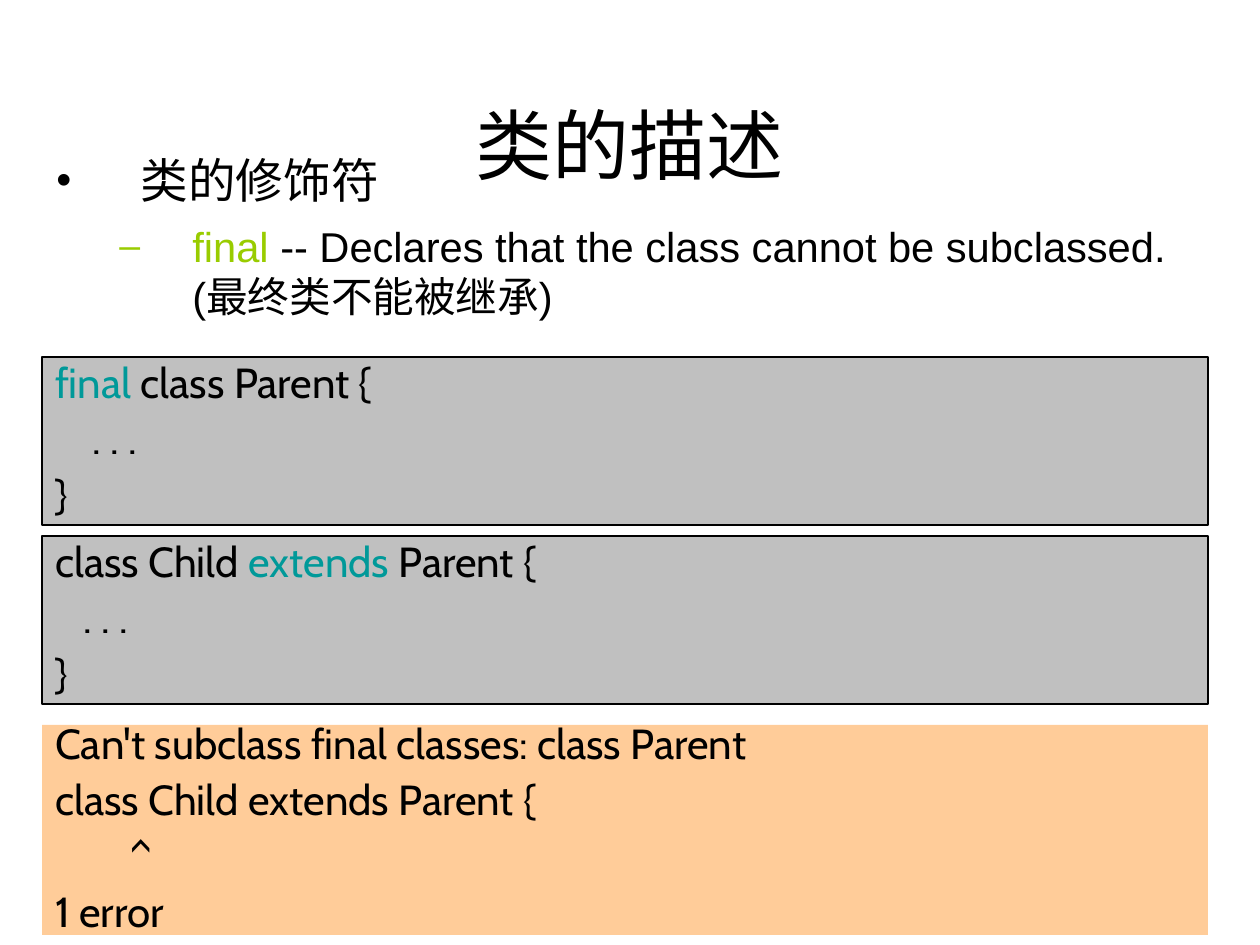
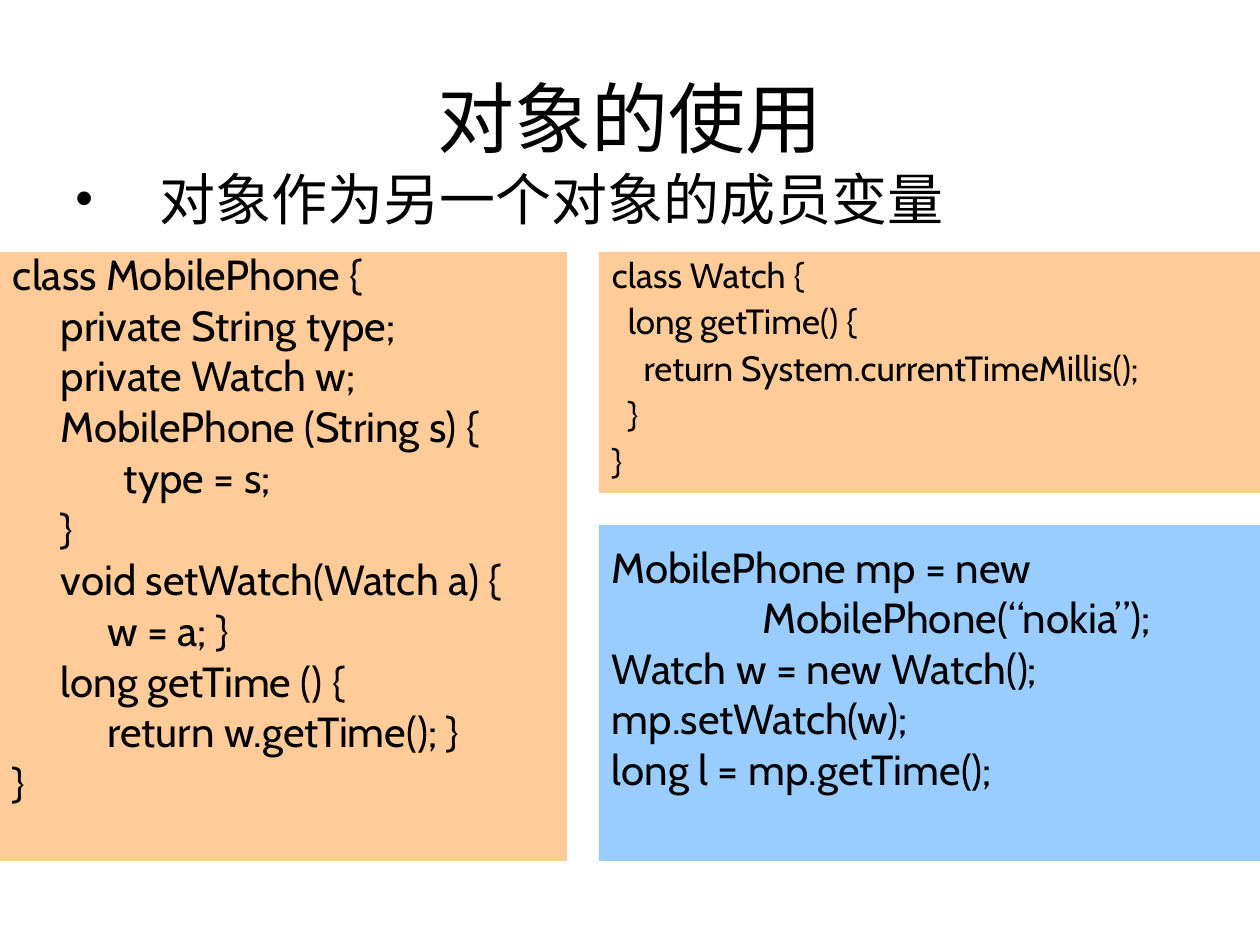
from lxml.etree import SubElement
from pptx import Presentation
from pptx.dml.color import RGBColor
from pptx.enum.shapes import MSO_SHAPE
from pptx.enum.text import MSO_ANCHOR, PP_ALIGN
from pptx.oxml.ns import qn
from pptx.util import Emu, Pt

INCH = 126  # px to the inch
SCALE = 914400 / INCH

BLACK = RGBColor(0x00, 0x00, 0x00)
LIME = RGBColor(0x99, 0xCC, 0x00)
TEAL = RGBColor(0x00, 0x99, 0x99)
GRAY = RGBColor(0xC0, 0xC0, 0xC0)
PEACH = RGBColor(0xFF, 0xCC, 0x99)
SKY = RGBColor(0x99, 0xCC, 0xFF)

TEXT_FONT = "Arial"
CODE_FONT = "Cabin"
TITLE_BOX = (63, 38, 1134, 158)


def px(length):
    return Emu(round(length * SCALE))


def place(box):
    return [px(length) for length in box]


def write(para, spans, font_name, size):
    """Fill a paragraph from a plain string or from (text, colour) pairs."""
    para.font.name = font_name
    para.font.size = Pt(size)
    if isinstance(spans, str):
        spans = [(spans, BLACK)]
    for text, colour in spans:
        span = para.add_run()
        span.text = text
        span.font.color.rgb = colour


def add_paragraphs(frame, count):
    """Yield count paragraphs of a frame, starting with its first."""
    for index in range(count):
        yield index, frame.add_paragraph() if index else frame.paragraphs[0]


def hang(para, indent, hanging):
    properties = para._p.get_or_add_pPr()
    properties.set("marL", str(px(indent)))
    properties.set("indent", str(-px(hanging)))
    return properties


def add_bullet(para, symbol, colour, indent, hanging):
    properties = hang(para, indent, hanging)
    bullet_colour = SubElement(properties, qn("a:buClr"))
    SubElement(bullet_colour, qn("a:srgbClr"), val=str(colour))
    SubElement(properties, qn("a:buSzPct"), val="90000")
    SubElement(properties, qn("a:buFont"), typeface=TEXT_FONT)
    SubElement(properties, qn("a:buChar"), char=symbol)


def add_tab_stops(para):
    stops = SubElement(para._p.get_or_add_pPr(), qn("a:tabLst"))
    for inch in range(8):
        SubElement(stops, qn("a:tab"), pos=str(px(inch * INCH)), algn="l")


def add_titled_page(deck, title, anchor):
    page = deck.slides.add_slide(deck.slide_layouts[5])
    holder = page.shapes.title
    holder.left, holder.top, holder.width, holder.height = place(TITLE_BOX)
    frame = holder.text_frame
    frame.vertical_anchor = anchor
    para = frame.paragraphs[0]
    para.alignment = PP_ALIGN.CENTER
    write(para, title, TEXT_FONT, 44)
    return page


def add_outline(page, box, points):
    """Bulleted text; each point is (level, size, spans)."""
    frame = page.shapes.add_textbox(*place(box)).text_frame
    frame.word_wrap = True
    styles = [("•", BLACK, 84, 84, 8), ("–", LIME, 136, 73, 7)]
    for index, para in add_paragraphs(frame, len(points)):
        level, size, spans = points[index]
        symbol, colour, indent, hanging, gap = styles[level]
        para.level = level
        add_bullet(para, symbol, colour, indent, hanging)
        if index:
            para.space_before = Pt(gap)
        write(para, spans, TEXT_FONT, size)


def add_code_panel(page, box, lines, fill, size=24, spacing=0.9, gap=6,
                   indent=0, anchor=MSO_ANCHOR.MIDDLE, outlined=False, bottom=6):
    panel = page.shapes.add_shape(MSO_SHAPE.RECTANGLE, *place(box))
    panel.shadow.inherit = False
    panel.fill.solid()
    panel.fill.fore_color.rgb = fill
    if outlined:
        panel.line.color.rgb = BLACK
        panel.line.width = Pt(0.75)
    else:
        panel.line.fill.background()

    frame = panel.text_frame
    frame.word_wrap = True
    frame.vertical_anchor = anchor
    frame.margin_left = frame.margin_right = px(13)
    frame.margin_top, frame.margin_bottom = px(6), px(bottom)
    for index, para in add_paragraphs(frame, len(lines)):
        hang(para, indent, indent)
        add_tab_stops(para)
        para.alignment = PP_ALIGN.LEFT
        para.line_spacing = spacing
        if index:
            para.space_before = Pt(gap)
        write(para, lines[index], CODE_FONT, size)


def build_final_class_page(deck):
    page = add_titled_page(deck, "类的描述", MSO_ANCHOR.BOTTOM)
    add_outline(page, (44, 145, 1166, 189), [
        (0, 27.2, "类的修饰符"),
        (1, 23.8, [
            ("final ", LIME),
            ("-- Declares that the class cannot be subclassed.(最终类不能被继承)", BLACK),
        ]),
    ])

    # Parent and child classes
    parent = [[("final", TEAL), (" class Parent {", BLACK)], "    . . .", "}"]
    child = [
        [("class Child ", BLACK), ("extends", TEAL), (" Parent {", BLACK)],
        "   . . .",
        "}",
    ]
    for top, lines in ((357, parent), (536, child)):
        add_code_panel(page, (42, top, 1166, 168), lines, GRAY, outlined=True)

    # Compiler message
    add_code_panel(page, (42, 725, 1166, 210), [
        "Can't subclass final classes: class Parent",
        "class Child extends Parent {",
        "        ^",
        "1 error",
    ], PEACH)


def build_member_object_page(deck):
    page = add_titled_page(deck, "对象的使用", MSO_ANCHOR.MIDDLE)
    add_outline(page, (63, 158, 1166, 105), [(0, 32, "对象作为另一个对象的成员变量")])

    # Class that holds the member object
    add_code_panel(page, (0, 252, 567, 609), [
        "class MobilePhone {",
        "\tprivate String type;",
        "\tprivate Watch w;",
        "\tMobilePhone (String s) {",
        "\t\ttype = s;",
        "\t}",
        "\tvoid setWatch(Watch a) {",
        "          w = a; }",
        "\tlong getTime () {",
        "          return w.getTime(); }",
        "}",
    ], PEACH, spacing=0.8, indent=48, anchor=MSO_ANCHOR.TOP)

    # Class of the member object
    add_code_panel(page, (599, 252, 661, 241), [
        "class Watch {",
        "  long getTime() {",
        "    return System.currentTimeMillis();",
        "  }",
        "}",
    ], PEACH, size=20, gap=5, indent=48, anchor=MSO_ANCHOR.TOP)

    # Usage
    add_code_panel(page, (599, 525, 661, 336), [
        "MobilePhone mp = new",
        "                MobilePhone(“nokia”);",
        "Watch w = new Watch();",
        "mp.setWatch(w);",
        "long l = mp.getTime();",
    ], SKY, spacing=1.0, gap=0, indent=63, bottom=57)


def main():
    deck = Presentation()
    deck.slide_width, deck.slide_height = px(1260), px(945)
    build_final_class_page(deck)
    build_member_object_page(deck)
    deck.save("out.pptx")


if __name__ == "__main__":
    main()
